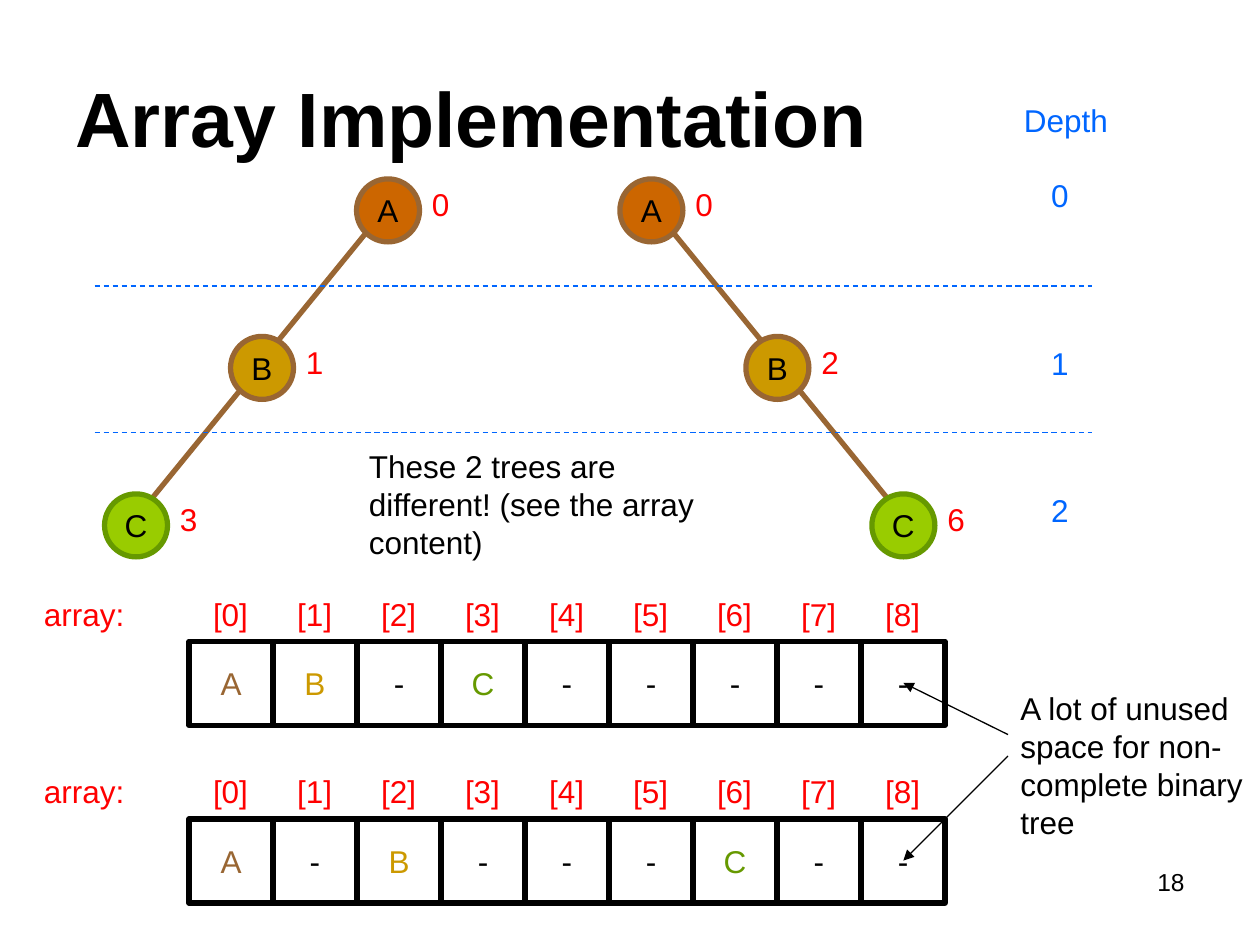
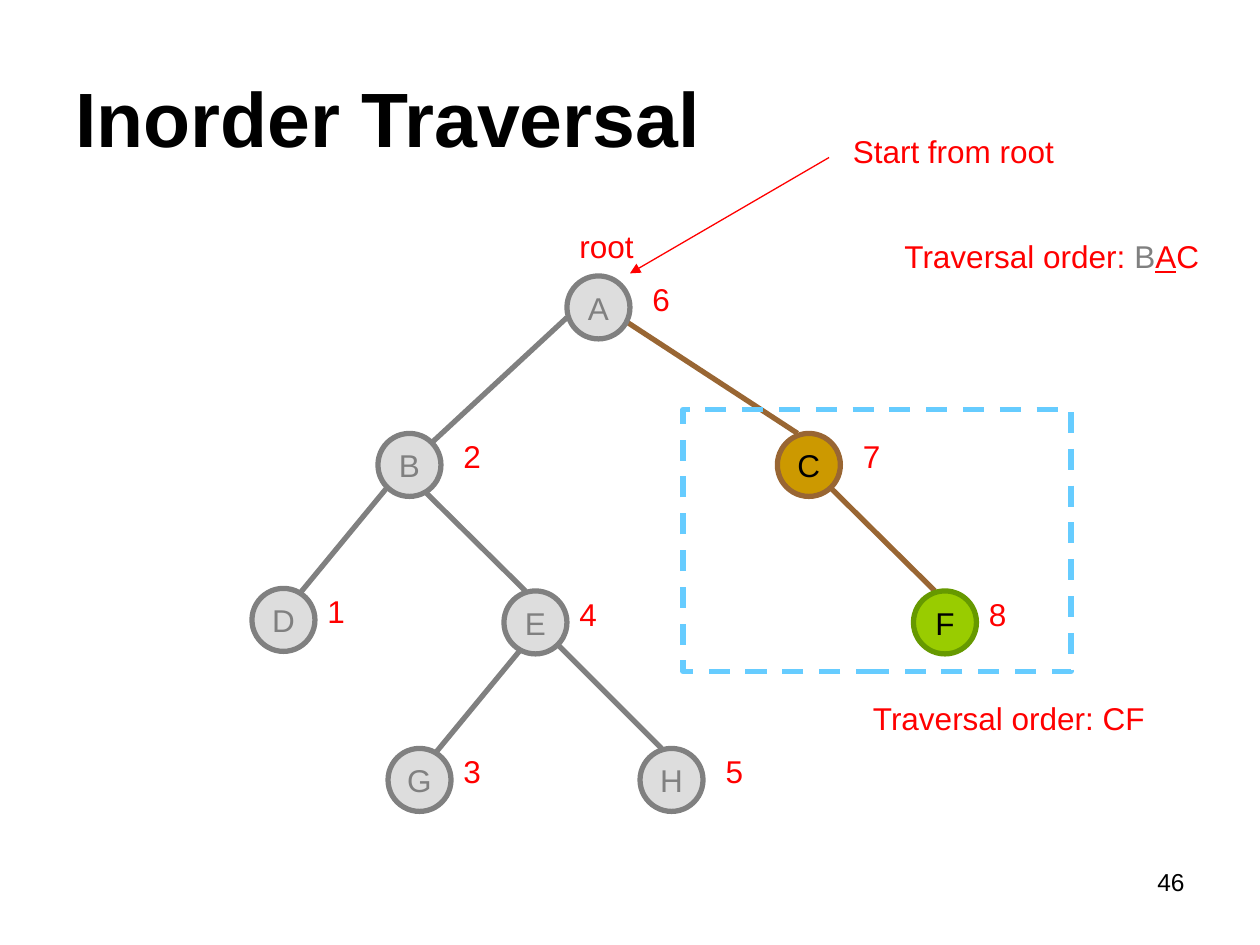
from lxml import etree
from pptx import Presentation
from pptx.dml.color import RGBColor
from pptx.enum.dml import MSO_LINE
from pptx.enum.shapes import MSO_CONNECTOR, MSO_SHAPE
from pptx.enum.text import MSO_ANCHOR, PP_ALIGN
from pptx.oxml.ns import qn
from pptx.util import Inches, Pt

BLACK, WHITE, RED, BLUE, SKY = "000000", "FFFFFF", "FF0000", "0066FF", "66CCFF"
BROWN, GOLD, ORANGE = "996633", "CC9900", "CC6600"
LIME, GREEN, GREY, PALE = "99CC00", "669900", "808080", "DDDDDD"

# Node looks: fill, outline, text
ROOT = (ORANGE, BROWN, BLACK)
INNER = (GOLD, BROWN, BLACK)
LEAF = (LIME, GREEN, BLACK)
VISITED = (PALE, GREY, GREY)

NODE_SIZE = 0.5
CELL_SIZE = 2 / 3


def color(value):
    return RGBColor.from_string(value)


class Deck:
    """Holds the shared style and the slide being built."""

    font = {"name": "Arial", "size": Pt(18), "bold": False}

    def __init__(self):
        self.presentation = Presentation()
        self.presentation.slide_width = Inches(10)
        self.presentation.slide_height = Inches(7.5)
        self.slide = None

    def new_slide(self, title, number):
        layout = self.presentation.slide_layouts[6]
        self.slide = self.presentation.slides.add_slide(layout)
        self.text(number, 7.17, 6.83, 2.33, 0.52, BLACK, PP_ALIGN.RIGHT, size=Pt(14))
        self.text(title, 0.5, 0.3, 9, 1.25, BLACK, anchor=MSO_ANCHOR.MIDDLE,
                  size=Pt(44), bold=True)

    def styled_run(self, paragraph, text, text_color, **formats):
        run = paragraph.add_run()
        run.text = text
        for name, value in {**self.font, **formats}.items():
            setattr(run.font, name, value)
        run.font.color.rgb = color(text_color)

    def text(self, text, left, top, width, height=0.4, text_color=RED,
             align=PP_ALIGN.LEFT, anchor=MSO_ANCHOR.TOP, **formats):
        box = self.slide.shapes.add_textbox(
            Inches(left), Inches(top), Inches(width), Inches(height))
        frame = box.text_frame
        frame.word_wrap = True
        frame.vertical_anchor = anchor
        paragraph = frame.paragraphs[0]
        paragraph.alignment = align
        self.styled_run(paragraph, text, text_color, **formats)
        return paragraph

    def shape(self, kind, left, top, width, height, fill, outline,
              text="", text_color=BLACK):
        shape = self.slide.shapes.add_shape(
            kind, Inches(left), Inches(top), Inches(width), Inches(height))
        shape.shadow.inherit = False
        if fill:
            shape.fill.solid()
            shape.fill.fore_color.rgb = color(fill)
        else:
            shape.fill.background()
        shape.line.color.rgb = color(outline)
        shape.line.width = Pt(3)
        if text:
            frame = shape.text_frame
            frame.word_wrap = False
            frame.vertical_anchor = MSO_ANCHOR.MIDDLE
            frame.paragraphs[0].alignment = PP_ALIGN.CENTER
            self.styled_run(frame.paragraphs[0], text, text_color)
        return shape

    def node(self, letter, left, top, look):
        fill, outline, text_color = look
        self.shape(MSO_SHAPE.OVAL, left, top, NODE_SIZE, NODE_SIZE,
                   fill, outline, letter, text_color)

    def line(self, start, end, line_color, width=3, dashed=False, arrow=False):
        line = self.slide.shapes.add_connector(
            MSO_CONNECTOR.STRAIGHT, *map(Inches, (*start, *end)))
        line.line.color.rgb = color(line_color)
        line.line.width = Pt(width)
        if dashed:
            line.line.dash_style = MSO_LINE.DASH
        properties = line._element.spPr
        if arrow:
            etree.SubElement(properties.find(qn("a:ln")), qn("a:tailEnd"), type="triangle")
        etree.SubElement(properties, qn("a:effectLst"))

    def array(self, values, top):
        """A row of indexed cells; letters take the color of their depth."""
        letter_colors = {"A": BROWN, "B": GOLD, "C": GREEN}
        self.text("array:", 0.25, top, 1.08)
        for index, value in enumerate(values):
            left = 1.5 + index * CELL_SIZE
            self.text(f"[{index}]", left + 0.08, top, 0.5, align=PP_ALIGN.CENTER)
            self.shape(MSO_SHAPE.RECTANGLE, left, top + 0.42, CELL_SIZE, CELL_SIZE,
                       WHITE, BLACK, value, letter_colors.get(value, BLACK))


def build_array_slide(deck):
    deck.new_slide("Array Implementation", "18")

    # Two chains, one leaning left and one leaning right
    levels = (("A", 1.42, ROOT), ("B", 2.67, INNER), ("C", 3.92, LEAF))
    for root_left, direction, indexes in ((2.83, -1, "013"), (4.92, 1, "026")):
        lefts = [root_left + direction * depth for depth in range(3)]
        center = NODE_SIZE / 2
        for depth in (1, 2):
            child = (lefts[depth] + center - direction * 0.09, levels[depth][1] + 0.08)
            parent = (lefts[depth - 1] + center + direction * 0.16,
                      levels[depth - 1][1] + 0.41)
            deck.line(child, parent, BROWN)
        for left, (letter, top, look), index in zip(lefts, levels, indexes):
            deck.node(letter, left, top, look)
            deck.text(index, left + NODE_SIZE, top, 0.5)

    # Depth scale
    deck.text("Depth", 8, 0.75, 0.92, text_color=BLUE, align=PP_ALIGN.CENTER)
    for depth, top in enumerate((1.35, 2.68, 3.85)):
        deck.text(str(depth), 8.08, top, 0.5, text_color=BLUE, align=PP_ALIGN.RIGHT)
    for height in (2.27, 3.43):
        deck.line((0.75, height), (8.67, height), BLUE, 0.75, dashed=True)

    # Array contents
    deck.array("AB-C-----", 4.67)
    deck.array("A-B---C--", 6.08)

    # Remarks
    deck.text("These 2 trees are different! (see the array content)",
              2.83, 3.5, 3.17, 0.7, BLACK)
    deck.text("A lot of unused space for non-complete binary tree",
              8, 5.42, 2, 1.31, BLACK)
    for start, end in (((8, 5.83), (7.17, 5.42)), ((8, 6), (7.17, 6.83))):
        deck.line(start, end, BLACK, 0.75, arrow=True)


def build_traversal_slide(deck):
    deck.new_slide("Inorder Traversal", "46")

    # Edges, child to parent
    edges = (
        ((3.42, 3.52), (4.5, 2.52), GREY),
        ((6.33, 3.44), (4.92, 2.52), BROWN),
        ((2.33, 4.77), (3.08, 3.86), GREY),
        ((4.17, 4.69), (3.33, 3.86), GREY),
        ((3.42, 6.02), (4.17, 5.11), GREY),
        ((5.25, 5.94), (4.42, 5.11), GREY),
        ((7.42, 4.69), (6.58, 3.86), BROWN),
    )
    for child, parent, edge_color in edges:
        deck.line(child, parent, edge_color)

    # Nodes with their visiting order: letter, left, top, look, order, order gap
    nodes = (
        ("A", 4.5, 2.19, VISITED, "6", 0.08),
        ("B", 3, 3.44, VISITED, "2", 0.08),
        ("C", 6.17, 3.44, INNER, "7", 0.08),
        ("D", 2, 4.67, VISITED, "1", 0),
        ("E", 4, 4.69, VISITED, "4", 0),
        ("F", 7.25, 4.69, LEAF, "8", 0),
        ("G", 3.08, 5.94, VISITED, "3", 0),
        ("H", 5.08, 5.94, VISITED, "5", 0.08),
    )
    for letter, left, top, look, order, gap in nodes:
        deck.node(letter, left, top, look)
        deck.text(order, left + NODE_SIZE + gap, top - 0.02, 0.58)

    # Subtree being visited
    subtree = deck.shape(MSO_SHAPE.RECTANGLE, 5.42, 3.25, 3.08, 2.08, None, SKY)
    subtree.line.dash_style = MSO_LINE.DASH

    # Remarks
    deck.text("root", 4.5, 1.75, 0.75)
    deck.text("Start from root", 6.67, 1, 2.58)
    deck.line((6.58, 1.25), (5, 2.17), RED, 0.75, arrow=True)
    deck.text("Traversal order: CF", 6.83, 5.5, 2.58)
    order = deck.text("Traversal order: ", 7.08, 1.83, 2.58)
    deck.styled_run(order, "B", GREY)
    deck.styled_run(order, "A", RED, underline=True)
    deck.styled_run(order, "C", RED)


def main():
    deck = Deck()
    build_array_slide(deck)
    build_traversal_slide(deck)
    deck.presentation.save("out.pptx")


if __name__ == "__main__":
    main()
